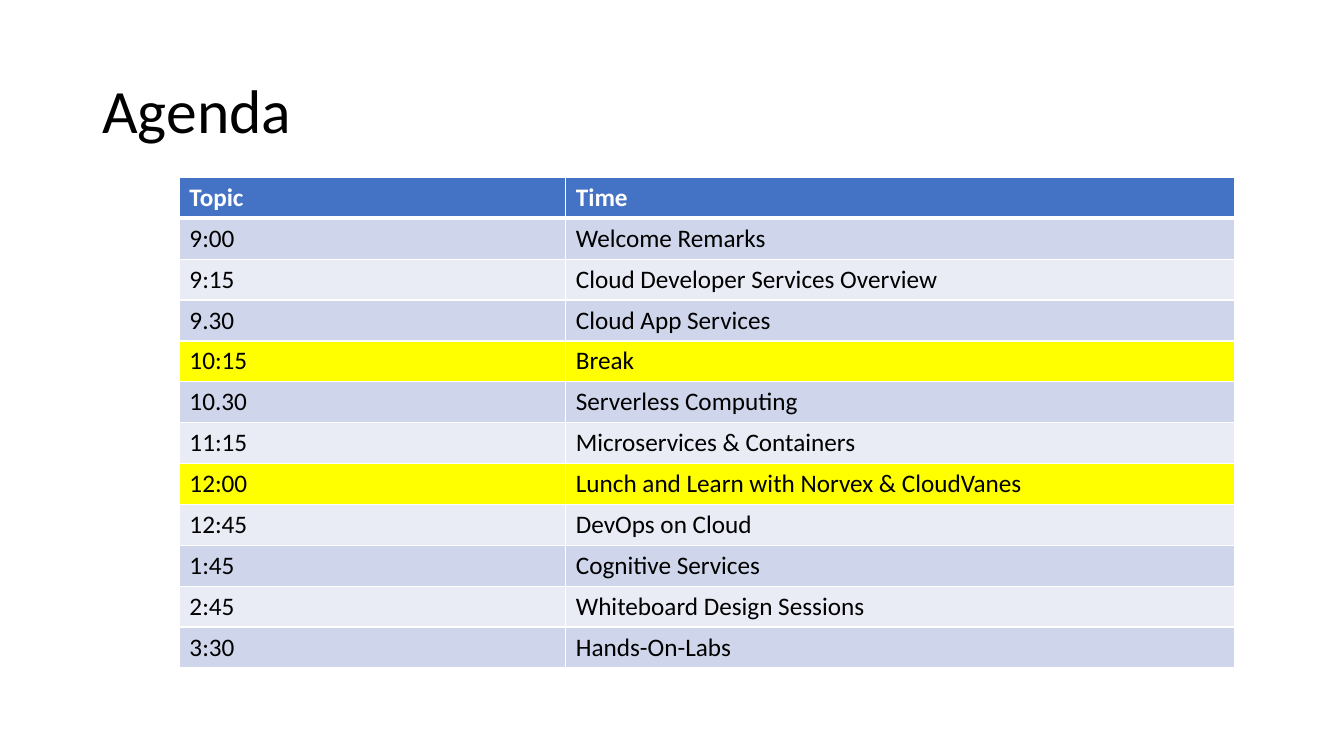
from typing import NamedTuple

from lxml import etree
from pptx import Presentation
from pptx.dml.color import RGBColor
from pptx.enum.text import MSO_ANCHOR
from pptx.oxml.ns import qn
from pptx.util import Inches, Pt

MIDDLE = MSO_ANCHOR.MIDDLE
BLACK = RGBColor(0x00, 0x00, 0x00)
WHITE = RGBColor(0xFF, 0xFF, 0xFF)
HEADER = RGBColor(0x44, 0x72, 0xC4)
BAND_DARK = RGBColor(0xCF, 0xD5, 0xEA)
BAND_LIGHT = RGBColor(0xE9, 0xEB, 0xF5)
PAUSE = RGBColor(0xFF, 0xFF, 0x00)
FONT = "Calibri"
SLIDE_W, SLIDE_H = Inches(13.333), Inches(7.5)
COLUMN_SHARES = (28.75, 49.75)
ROW_SHARE = 5.41
THIN, THICK = 1, 3


class Entry(NamedTuple):
    time: str
    topic: str
    pause: bool = False


HEADINGS = Entry("Topic", "Time")
AGENDA = [
    Entry("9:00", "Welcome Remarks"),
    Entry("9:15", "Cloud Developer Services Overview"),
    Entry("9.30", "Cloud App Services"),
    Entry("10:15", "Break", True),
    Entry("10.30", "Serverless Computing"),
    Entry("11:15", "Microservices & Containers"),
    Entry("12:00", "Lunch and Learn with Norvex & CloudVanes", True),
    Entry("12:45", "DevOps on Cloud"),
    Entry("1:45", "Cognitive Services"),
    Entry("2:45", "Whiteboard Design Sessions"),
    Entry("3:30", "Hands-On-Labs"),
]


def across(percent: float) -> int:
    return round(SLIDE_W * percent / 100)


def down(percent: float) -> int:
    return round(SLIDE_H * percent / 100)


def add_run(p, text: str, size: int, color: RGBColor, bold: bool = False) -> None:
    r = p.add_run()
    r.text = text
    r.font.name = FONT
    r.font.size = Pt(size)
    r.font.bold = bold
    r.font.color.rgb = color


def add_title(s, text: str) -> None:
    tf = s.shapes.add_textbox(across(6.88), down(5.33), across(86.25), down(19.33)).text_frame
    tf.word_wrap = True
    tf.vertical_anchor = MIDDLE
    p = tf.paragraphs[0]
    p.line_spacing = 0.9
    add_run(p, text, 44, BLACK)


def set_borders(cell, top: int, bottom: int) -> None:
    tc_pr = cell._tc.get_or_add_tcPr()
    sides = {"a:lnL": THIN, "a:lnR": THIN, "a:lnT": top, "a:lnB": bottom}
    for i, (tag, width) in enumerate(sides.items()):
        ln = etree.Element(qn(tag), w=str(Pt(width)))
        fill = etree.SubElement(ln, qn("a:solidFill"))
        etree.SubElement(fill, qn("a:srgbClr"), val=str(WHITE))
        tc_pr.insert(i, ln)


def row_fill(row: int, entry: Entry) -> RGBColor:
    if row == 0:
        return HEADER
    if entry.pause:
        return PAUSE
    return BAND_DARK if row % 2 else BAND_LIGHT


def add_agenda(s, entries: list[Entry]) -> None:
    table = s.shapes.add_table(
        len(entries), len(COLUMN_SHARES), across(13.35), down(23.47),
        across(sum(COLUMN_SHARES)), down(ROW_SHARE * len(entries)),
    ).table
    for column, share in zip(table.columns, COLUMN_SHARES):
        column.width = across(share)
    for row, entry in enumerate(entries):
        table.rows[row].height = down(ROW_SHARE)
        is_header = row == 0
        for col, text in enumerate((entry.time, entry.topic)):
            cell = table.cell(row, col)
            cell.fill.solid()
            cell.fill.fore_color.rgb = row_fill(row, entry)
            set_borders(cell, THICK if row == 1 else THIN, THICK if is_header else THIN)
            add_run(cell.text_frame.paragraphs[0], text, 18,
                    WHITE if is_header else BLACK, is_header)


def main() -> None:
    prs = Presentation()
    prs.slide_width, prs.slide_height = SLIDE_W, SLIDE_H
    s = prs.slides.add_slide(prs.slide_layouts[6])
    add_title(s, "Agenda")
    add_agenda(s, [HEADINGS, *AGENDA])
    prs.save("out.pptx")


if __name__ == "__main__":
    main()
